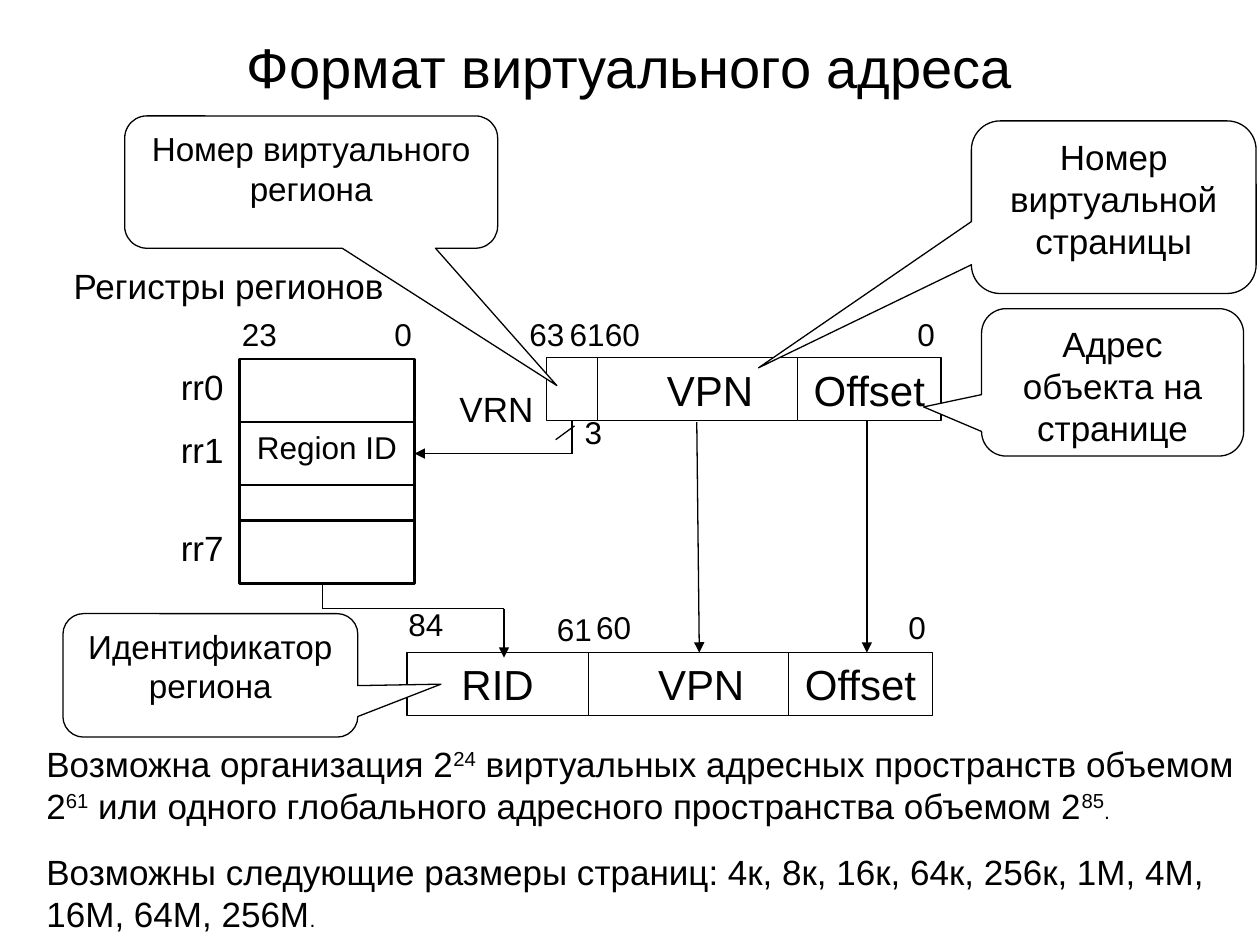
import pptx
import pptx.util
import pptx.dml.color
import pptx.enum.shapes
import pptx.enum.text
import pptx.oxml.ns
from lxml import etree

Inches = pptx.util.Inches
Pt = pptx.util.Pt
SHAPE = pptx.enum.shapes.MSO_SHAPE
ANCHOR = pptx.enum.text.MSO_ANCHOR
ALIGN = pptx.enum.text.PP_ALIGN
BLACK = pptx.dml.color.RGBColor(0x00, 0x00, 0x00)
WHITE = pptx.dml.color.RGBColor(0xFF, 0xFF, 0xFF)


class Diagram:
    font = "Arial"
    thin = 0.75
    thick = 1.5

    def __init__(self, slide):
        self.s = slide

    def style_run(self, r, size):
        r.font.name = self.font
        r.font.size = Pt(size)
        r.font.color.rgb = BLACK

    def format_text(self, tf, size, align=ALIGN.CENTER, anchor=ANCHOR.TOP):
        tf.word_wrap = True
        tf.vertical_anchor = anchor
        for p in tf.paragraphs:
            p.alignment = align
            for r in p.runs:
                self.style_run(r, size)

    def title(self, text, x, y, w, h, size):
        sp = self.s.shapes.title
        sp.left, sp.top, sp.width, sp.height = map(Inches, (x, y, w, h))
        sp.text_frame.text = text
        self.format_text(sp.text_frame, size, anchor=ANCHOR.MIDDLE)

    def label(self, text, x, y, w, h=0.46, size=18):
        sp = self.s.shapes.add_textbox(*map(Inches, (x, y, w, h)))
        sp.text_frame.text = text
        self.format_text(sp.text_frame, size)

    def note(self, parts, x, y, w, h):
        sp = self.s.shapes.add_textbox(*map(Inches, (x, y, w, h)))
        tf = sp.text_frame
        tf.word_wrap = True
        p = tf.paragraphs[0]
        p.alignment = ALIGN.LEFT
        for text, size, raised in parts:
            r = p.add_run()
            r.text = text
            self.style_run(r, size)
            if raised:
                r.font._element.set("baseline", "30000")

    def shape(self, kind, text, x, y, w, h, size, line):
        sp = self.s.shapes.add_shape(kind, *map(Inches, (x, y, w, h)))
        sp.shadow.inherit = False
        sp.fill.solid()
        sp.fill.fore_color.rgb = WHITE
        sp.line.color.rgb = BLACK
        sp.line.width = Pt(line)
        if text:
            sp.text_frame.text = text
            self.format_text(sp.text_frame, size)
        return sp

    def cell(self, text, x, y, w, h=0.5, size=24, line=thin):
        return self.shape(SHAPE.RECTANGLE, text, x, y, w, h, size, line)

    def callout(self, text, x, y, w, h, tip, size):
        sp = self.shape(SHAPE.ROUNDED_RECTANGULAR_CALLOUT, text, x, y, w, h, size, self.thin)
        sp.adjustments[0] = (tip[0] - x) / w - 0.5
        sp.adjustments[1] = (tip[1] - y) / h - 0.5

    def line(self, start, end, arrow=False):
        c = self.s.shapes.add_connector(
            pptx.enum.shapes.MSO_CONNECTOR.STRAIGHT, *map(Inches, (*start, *end)))
        c.line.color.rgb = BLACK
        c.line.width = Pt(self.thin)
        if arrow:
            ln = c.line._get_or_add_ln()
            etree.SubElement(ln, pptx.oxml.ns.qn("a:tailEnd"), type="triangle")
        etree.SubElement(c._element.spPr, pptx.oxml.ns.qn("a:effectLst"))
        return c


def main():
    prs = pptx.Presentation()
    prs.slide_width, prs.slide_height = Inches(10), Inches(7.5)
    s = prs.slides.add_slide(prs.slide_layouts[5])
    d = Diagram(s)
    d.title("Формат виртуального адреса", 0.5, 0.3, 9, 0.45, 32)

    registers = [("rr0", "", 0.5), ("rr1", "Region ID", 0.5), ("", "", 0.28), ("rr7", "", 0.5)]
    cells = {}
    y = 2.85
    for name, text, h in registers:
        cells[name] = d.cell(text, 1.9, y, 1.39, h, 18, d.thick)
        if name:
            d.label(name, 1.2, y, 0.81, size=20)
        y += h
    d.label("Регистры регионов", 0.45, 2.05, 2.73, 0.55, 20)

    for x, y in [(4.74, 2.84), (4.67, 5.18)]:
        d.cell("VPN", x, y, 1.79)
        d.cell("Offset", x + 1.59, y, 1.14)
    vrn = d.cell("", 4.34, 2.84, 0.4)
    d.cell("RID", 3.23, 5.18, 1.44)

    bits = [
        ("23", 1.81, 2.45), ("0", 2.99, 2.45 - 0.0),
        ("63", 4.09, 2.45), ("61", 4.41, 2.45), ("60", 4.69, 2.45), ("0", 7.1, 2.45),
        ("84", 3.13, 4.75), ("61", 4.31, 4.79), ("60", 4.62, 4.78), ("0", 7.03, 4.78),
    ]
    bits[1] = ("0", 2.95, 2.45)
    for text, x, y in bits:
        d.label(text, x, y, 0.5)
    d.label("VRN", 3.54, 3.03, 0.8, 0.5, 20)
    d.label("3", 4.31, 3.23, 0.8, 0.5)

    d.line((4.54, 3.34), (4.54, 3.6)).begin_connect(vrn, 2)
    d.line((4.54, 3.6), (3.29, 3.6), arrow=True).end_connect(cells["rr1"], 3)
    d.line((4.41, 3.49), (4.56, 3.38))
    d.line((5.53, 3.35), (5.55, 5.18), arrow=True)
    d.line((6.88, 3.34), (6.88, 5.18), arrow=True)
    d.line((2.56, 4.63), (2.56, 4.83))
    d.line((2.56, 4.83), (4, 4.83))
    d.line((4, 4.83), (4, 5.22), arrow=True)

    d.callout("Идентификатор региона", 0.5, 4.87, 2.34, 0.98, (3.5, 5.43), 19)
    d.callout("Адрес объекта на странице", 7.79, 2.45, 2.08, 1.17, (7.33, 3.23), 20)
    d.callout("Номер виртуальной страницы", 7.71, 0.96, 2.26, 1.37, (6.02, 2.92), 20)
    d.callout("Номер виртуального региона", 0.99, 0.92, 2.96, 1.05, (4.42, 3.06), 19)

    d.note([
        ("Возможна организация 2", 20, False),
        ("24", 20, True),
        (" виртуальных адресных пространств объемом 2", 20, False),
        ("61", 20, True),
        (" или одного глобального адресного пространства объемом 2", 20, False),
        ("85", 20, True),
        (".", 12, False),
    ], 0.27, 5.84, 9.73, 0.86)
    d.note([
        ("Возможны следующие размеры страниц: 4к, 8к, 16к, 64к, 256к, 1М, 4М, 16М, 64М, 256М", 20, False),
        (".", 12, False),
    ], 0.27, 6.7, 9.73, 0.55)

    prs.save("out.pptx")


if __name__ == "__main__":
    main()
